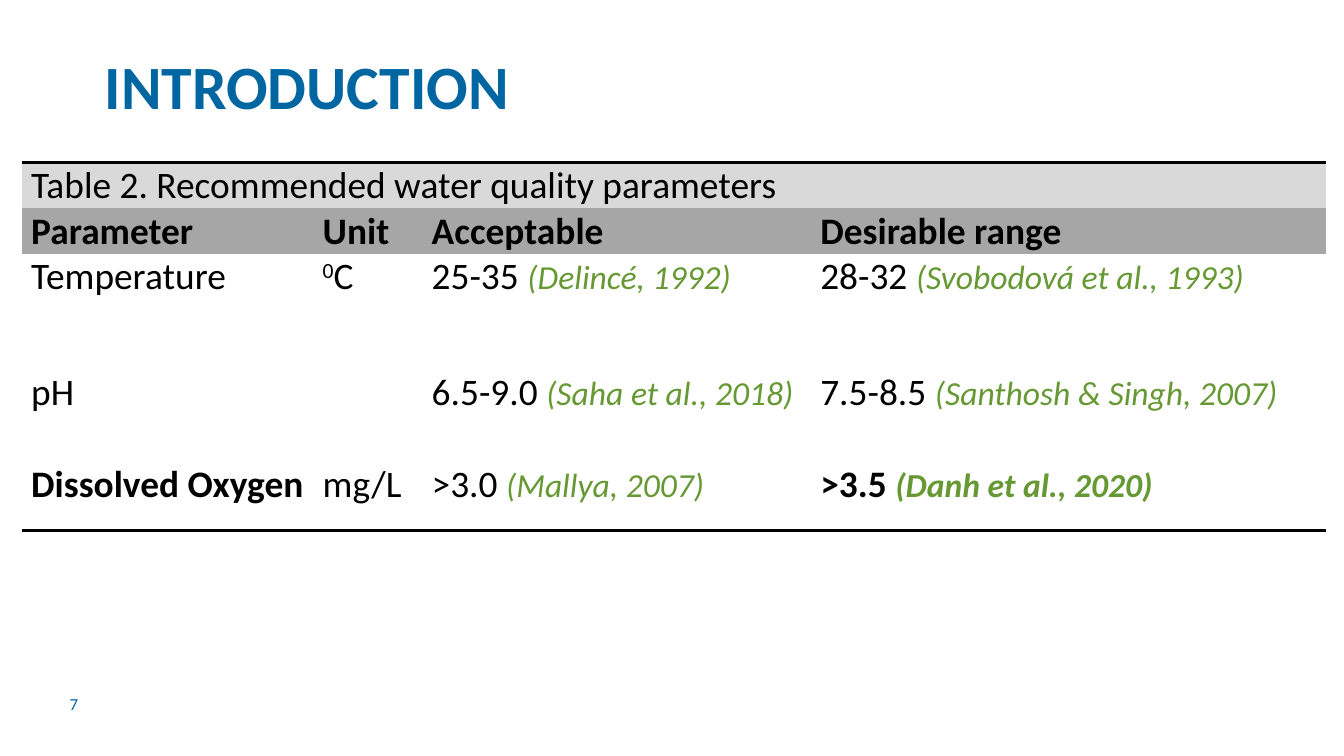
from dataclasses import dataclass
from lxml import etree
from pptx import Presentation
from pptx.dml.color import RGBColor
from pptx.enum.text import MSO_ANCHOR
from pptx.oxml.ns import qn
from pptx.util import Pt

TOP, MIDDLE, BOTTOM = MSO_ANCHOR.TOP, MSO_ANCHOR.MIDDLE, MSO_ANCHOR.BOTTOM


@dataclass(frozen=True)
class Theme:
    face: str = "Calibri"
    blue: str = "0066A1"
    black: str = "000000"
    green: str = "669933"
    white: str = "FFFFFF"
    light: str = "D9D9D9"
    gray: str = "A6A6A6"
    title: float = 33
    body: float = 20
    cite: float = 18
    small: float = 9
    rule: float = 2


class Deck:
    """Holds the theme and the current slide."""

    def __init__(self, theme, width, height):
        self.theme = theme
        self.prs = Presentation()
        self.prs.slide_width, self.prs.slide_height = Pt(width), Pt(height)
        self.slide = self.prs.slides.add_slide(self.prs.slide_layouts[6])

    def run(self, para, text, color, size, raised=False, **form):
        run = para.add_run()
        run.text = text
        form = {"name": self.theme.face, "size": Pt(size), "bold": False, **form}
        for key, value in form.items():
            setattr(run.font, key, value)
        run.font.color.rgb = RGBColor.from_string(color)
        if raised:
            run.font._element.set("baseline", "30000")

    def label(self, text, box, size, anchor, spacing=1.0, **form):
        frame = self.slide.shapes.add_textbox(*map(Pt, box)).text_frame
        frame.word_wrap = True
        frame.vertical_anchor = anchor
        para = frame.paragraphs[0]
        para.line_spacing = spacing
        self.run(para, text, self.theme.blue, size, **form)

    def edge(self, cell, ruled):
        """Rule the named sides of a cell and clear the others."""
        props = cell._tc.get_or_add_tcPr()
        for side in "LRTB":
            line = etree.SubElement(props, qn(f"a:ln{side}"))
            if side in ruled:
                line.set("w", str(Pt(self.theme.rule)))
                fill = etree.SubElement(line, qn("a:solidFill"))
                etree.SubElement(fill, qn("a:srgbClr"), val=self.theme.black)
            else:
                etree.SubElement(line, qn("a:noFill"))

    def cell(self, cell, text, fill, anchor, ruled, bold):
        """Fill a cell; text is a value, or a (value, cite) or (value, cite, True) tuple."""
        look = self.theme
        self.edge(cell, ruled)
        cell.fill.solid()
        cell.fill.fore_color.rgb = RGBColor.from_string(fill)
        form = {"margin_left": Pt(5), "margin_right": Pt(5), "margin_top": 0,
                "margin_bottom": 0, "vertical_anchor": anchor}
        for key, value in form.items():
            setattr(cell, key, value)
        if not text:
            return
        para = cell.text_frame.paragraphs[0]
        para.space_after = Pt(6)
        value, cite = text if isinstance(text, tuple) else (text, "")
        if value.startswith("⁰"):
            self.run(para, "0", look.black, look.body, raised=True)
            value = value[1:]
        self.run(para, value + (" " if cite else ""), look.black, look.body, bold=bold)
        if cite:
            self.run(para, f"({cite})", look.green, look.cite, bold=bold, italic=True)

    def table(self, spot, widths, heights, rows, fills, strong):
        size = sum(widths), sum(heights)
        table = self.slide.shapes.add_table(
            len(rows), len(widths), *map(Pt, (*spot, *size))).table
        table.first_row = table.horz_banding = False
        for col, width in zip(table.columns, widths):
            col.width = Pt(width)
        for row, height in zip(table.rows, heights):
            row.height = Pt(height)
        last = len(rows) - 1
        for r, row in enumerate(rows):
            ruled = {0: "T", last: "B"}.get(r, "")
            anchor = TOP if r == 2 else MIDDLE
            for c, text in enumerate(row):
                self.cell(table.cell(r, c), text, fills[r], anchor, ruled, (r, c) in strong)
        table.cell(0, 0).merge(table.cell(0, len(widths) - 1))


def main():
    look = Theme()
    deck = Deck(look, 720, 405)
    deck.label("INTRODUCTION", (49, 20.2, 620.6, 49), look.title, BOTTOM, 0.9, bold=True)
    deck.label("7", (30.2, 366.5, 38.2, 21.6), look.small, MIDDLE)
    rows = [
        ("Table 2. Recommended water quality parameters", "", "", ""),
        ("Parameter", "Unit", "Acceptable", "Desirable range"),
        ("Temperature", "⁰C", ("25-35", "Delincé, 1992"), ("28-32", "Svobodová et al., 1993")),
        ("pH", "", ("6.5-9.0", "Saha et al., 2018"), ("7.5-8.5", "Santhosh & Singh, 2007")),
        ("Dissolved Oxygen", "mg/L", (">3.0", "Mallya, 2007"), (">3.5", "Danh et al., 2020")),
    ]
    heads = {(1, c) for c in range(4)}
    deck.table((11.7, 87.1), (156.2, 58.4, 208.2, 275.8), [24.6] * 2 + [49.4] * 3, rows,
               [look.light, look.gray] + [look.white] * 3, heads | {(4, 0), (4, 3)})
    deck.prs.save("out.pptx")


if __name__ == "__main__":
    main()
